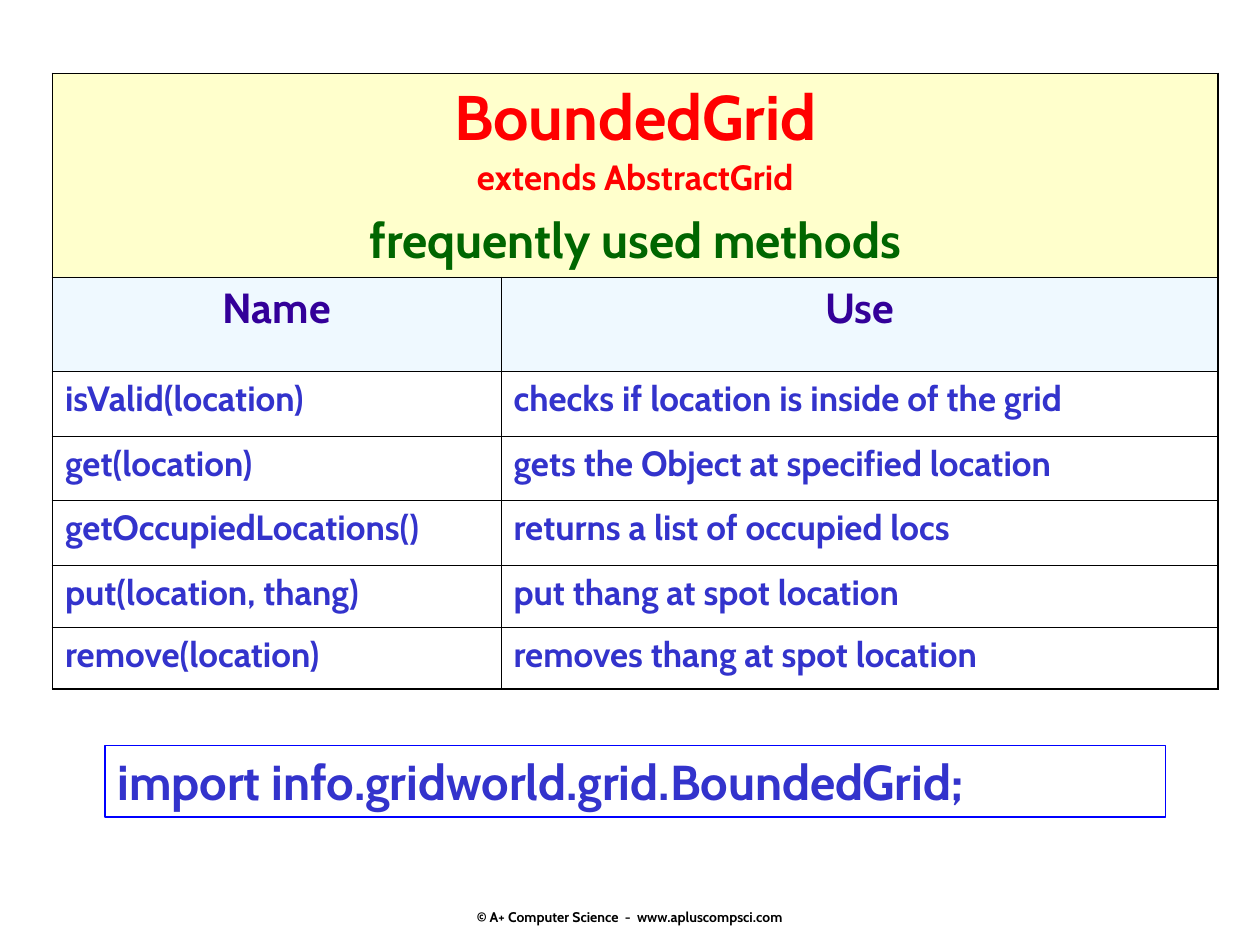
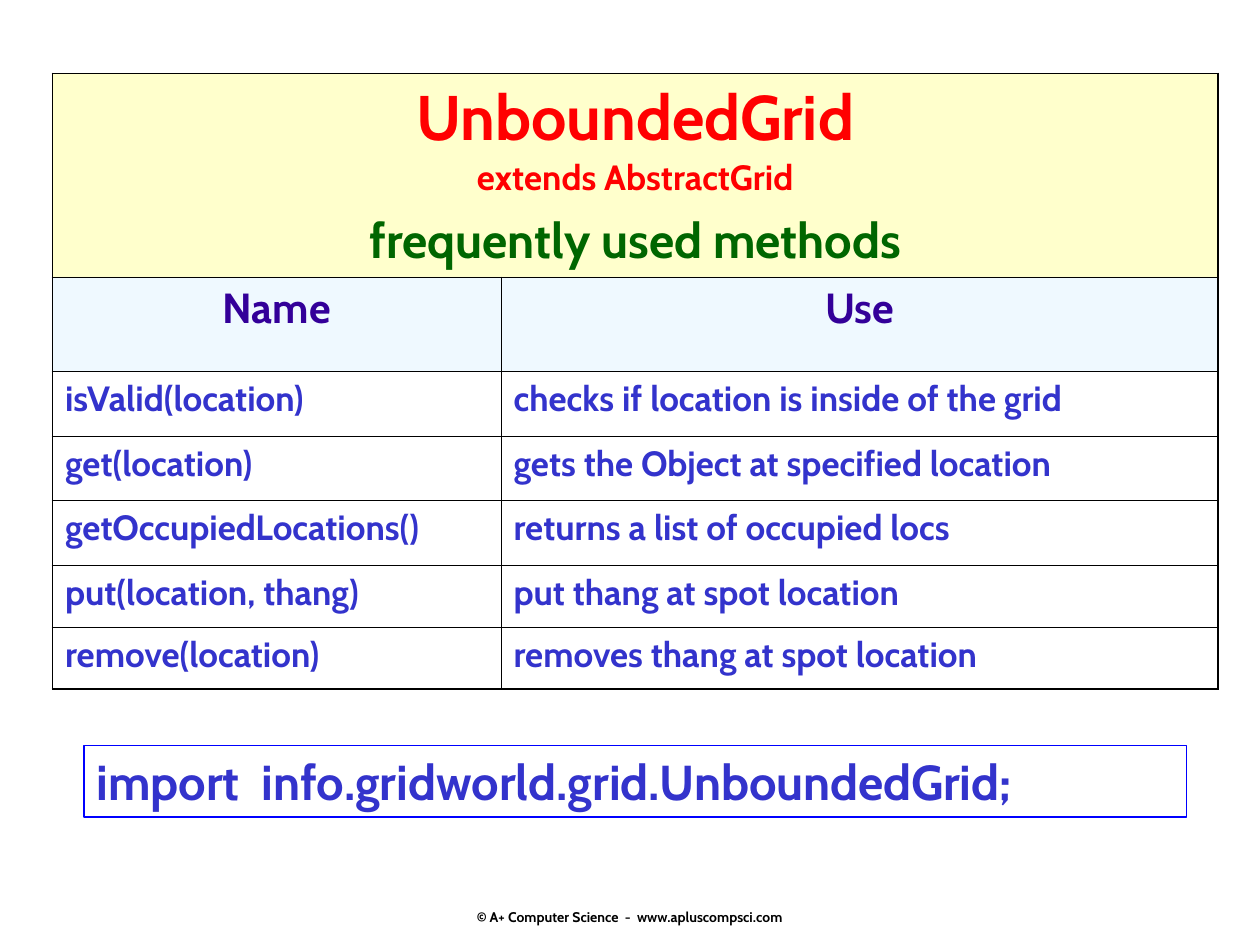
from dataclasses import dataclass

from lxml import etree
from pptx import Presentation
from pptx.dml.color import RGBColor
from pptx.enum import shapes, text
from pptx.oxml import ns
from pptx.util import Pt


@dataclass(frozen=True)
class Theme:
    font: str = "Cabin"
    black: str = "000000"
    class_name: str = "FF0000"
    subtitle: str = "006600"
    heading: str = "330099"
    body: str = "3333CC"
    outline: str = "0000FF"
    banner_fill: str = "FFFFCC"
    heading_fill: str = "E1F4FF"
    title_size: int = 36
    subtitle_size: int = 28
    heading_size: int = 24
    body_size: int = 20
    footer_size: int = 8
    outer_line: float = 1.08
    inner_line: float = 0.45


THEME = Theme()
COLUMN_WIDTHS = (256.3, 409.7)
ROW_HEIGHTS = (116.2, 54, 36.9, 36.9, 36.9, 35.4, 35.4)
TABLE_LEFT, TABLE_TOP = 30, 42
TABLE_CENTRE = TABLE_LEFT + sum(COLUMN_WIDTHS) / 2
METHODS = (
    ("isValid(location)", "checks if location is inside of the grid"),
    ("get(location)", "gets the Object at specified location"),
    ("getOccupiedLocations()", "returns a list of occupied locs"),
    ("put(location, thang)", "put thang at spot location"),
    ("remove(location)", "removes thang at spot location"),
)
GRIDS = (
    ("BoundedGrid", "import info.gridworld.grid.BoundedGrid;", 606),
    ("UnboundedGrid", "import  info.gridworld.grid.UnboundedGrid;", 630),
)


def style_span(span, size, colour):
    span.font.name = THEME.font
    span.font.size = Pt(size)
    span.font.bold = True
    span.font.color.rgb = RGBColor.from_string(colour)


def style_paragraph(para, size, colour, centred=False):
    para.alignment = text.PP_ALIGN.CENTER if centred else text.PP_ALIGN.LEFT
    for span in para.runs:
        style_span(span, size, colour)


def set_borders(cell, row, column):
    outer = {
        "L": column == 0,
        "R": column == len(COLUMN_WIDTHS) - 1 or row == 0,
        "T": row == 0,
        "B": row == len(ROW_HEIGHTS) - 1,
    }
    properties = cell._tc.get_or_add_tcPr()
    for side, is_outer in outer.items():
        width = Pt(THEME.outer_line if is_outer else THEME.inner_line)
        line = etree.SubElement(properties, ns.qn(f"a:ln{side}"), w=str(width))
        fill = etree.SubElement(line, ns.qn("a:solidFill"))
        etree.SubElement(fill, ns.qn("a:srgbClr"), val=THEME.black)


def fill_cell(cell, colour, opacity=100):
    cell.fill.solid()
    cell.fill.fore_color.rgb = RGBColor.from_string(colour)
    if opacity < 100:
        tint = cell._tc.tcPr.find(".//" + ns.qn("a:solidFill") + "[last()]/" + ns.qn("a:srgbClr"))
        tint = cell._tc.tcPr.findall(ns.qn("a:solidFill"))[0][0]
        etree.SubElement(tint, ns.qn("a:alpha"), val=str(opacity * 1000))


def write_banner(cell, class_name):
    cell.text_frame.text = f"{class_name}\vextends AbstractGrid\nfrequently used methods"
    title, subtitle = cell.text_frame.paragraphs
    style_paragraph(title, THEME.title_size, THEME.class_name, centred=True)
    title.runs[1].font.size = Pt(THEME.body_size)
    style_paragraph(subtitle, THEME.subtitle_size, THEME.subtitle, centred=True)
    subtitle.space_before = Pt(7)
    fill_cell(cell, THEME.banner_fill)


def write_cell(cell, words, is_heading):
    cell.text_frame.text = words
    para = cell.text_frame.paragraphs[0]
    if is_heading:
        style_paragraph(para, THEME.heading_size, THEME.heading, centred=True)
        fill_cell(cell, THEME.heading_fill, opacity=50)
    else:
        style_paragraph(para, THEME.body_size, THEME.body)
        cell.fill.background()


def add_method_table(page, class_name):
    frame = page.shapes.add_table(
        len(ROW_HEIGHTS), len(COLUMN_WIDTHS), Pt(TABLE_LEFT), Pt(TABLE_TOP),
        Pt(sum(COLUMN_WIDTHS)), Pt(sum(ROW_HEIGHTS)))
    table = frame.table
    table.first_row = table.horz_banding = False
    for column, width in zip(table.columns, COLUMN_WIDTHS):
        column.width = Pt(width)
    for row, height in zip(table.rows, ROW_HEIGHTS):
        row.height = Pt(height)
    for row in range(len(ROW_HEIGHTS)):
        for column in range(len(COLUMN_WIDTHS)):
            set_borders(table.cell(row, column), row, column)
    table.cell(0, 0).merge(table.cell(0, 1))
    write_banner(table.cell(0, 0), class_name)
    for row, entry in enumerate((("Name", "Use"),) + METHODS, start=1):
        for column, words in enumerate(entry):
            write_cell(table.cell(row, column), words, is_heading=row == 1)


def add_import_box(page, statement, width):
    box = page.shapes.add_shape(
        shapes.MSO_SHAPE.RECTANGLE, Pt(TABLE_CENTRE - width / 2), Pt(426), Pt(width), Pt(41))
    box.shadow.inherit = False
    box.fill.background()
    box.line.color.rgb = RGBColor.from_string(THEME.outline)
    box.line.width = Pt(1)
    frame = box.text_frame
    frame.text = statement
    frame.word_wrap = True
    frame.auto_size = text.MSO_AUTO_SIZE.SHAPE_TO_FIT_TEXT
    frame.vertical_anchor = text.MSO_ANCHOR.TOP
    style_paragraph(frame.paragraphs[0], THEME.subtitle_size, THEME.body)


def add_footer(page):
    box = page.shapes.add_textbox(Pt(246), Pt(493), Pt(228), Pt(36))
    frame = box.text_frame
    frame.text = "© A+ Computer Science  -  www.apluscompsci.com"
    frame.word_wrap = False
    frame.vertical_anchor = text.MSO_ANCHOR.BOTTOM
    frame.margin_bottom = 0
    style_paragraph(frame.paragraphs[0], THEME.footer_size, THEME.black, centred=True)


def main():
    deck = Presentation()
    deck.slide_width, deck.slide_height = Pt(720), Pt(540)
    for class_name, statement, width in GRIDS:
        page = deck.slides.add_slide(deck.slide_layouts[6])
        add_footer(page)
        add_method_table(page, class_name)
        add_import_box(page, statement, width)
    deck.save("out.pptx")


if __name__ == "__main__":
    main()
